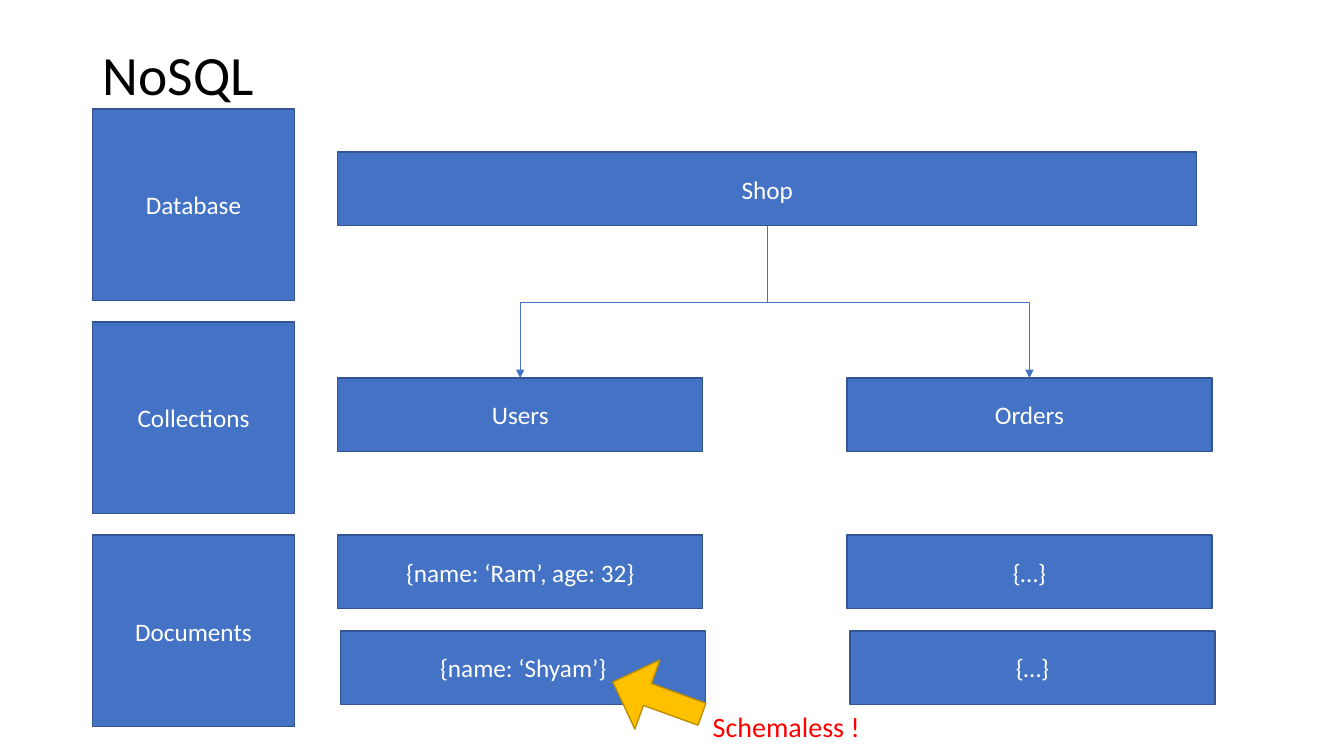
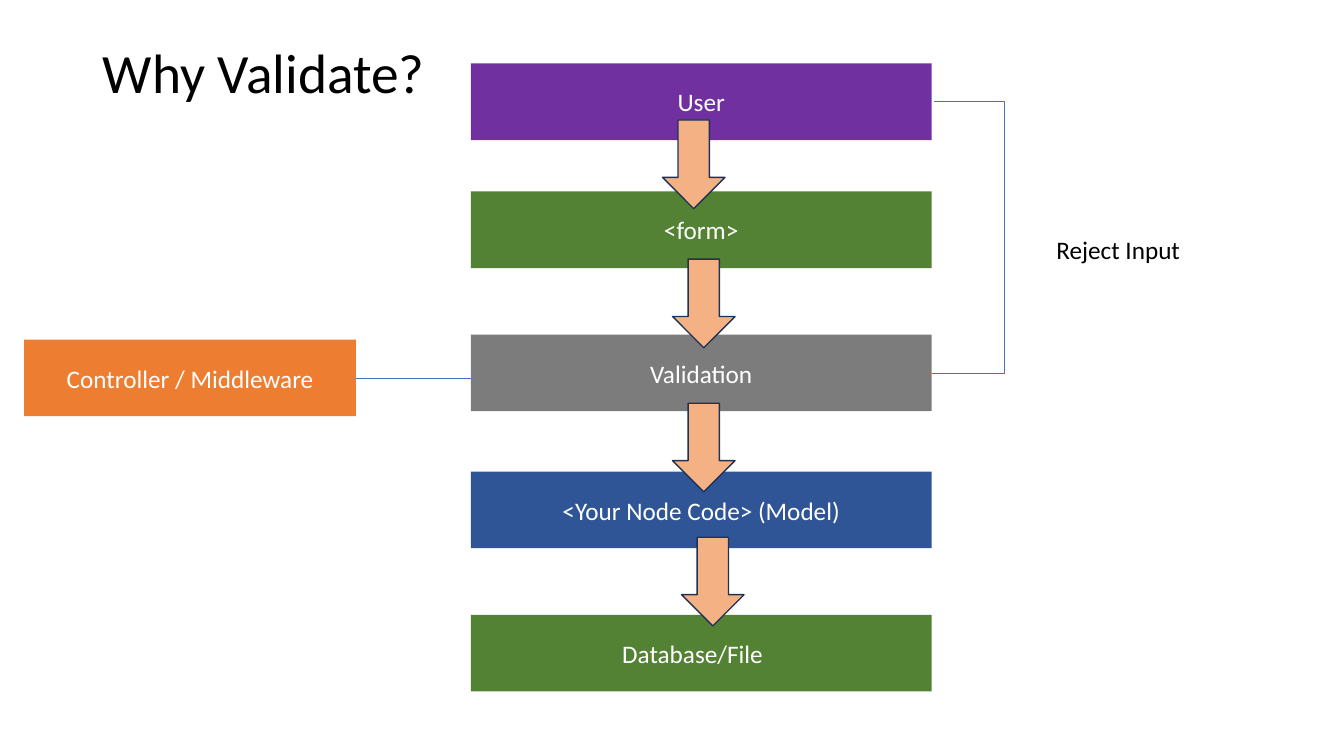
from dataclasses import dataclass
from typing import NamedTuple

from lxml.etree import SubElement
from pptx import Presentation
from pptx.dml.color import RGBColor
from pptx.enum.shapes import MSO_CONNECTOR as Link, MSO_SHAPE as Shape
from pptx.enum.text import MSO_ANCHOR as Anchor, MSO_AUTO_SIZE as AutoSize, PP_ALIGN as Align
from pptx.oxml.ns import qn
from pptx.util import Inches, Pt


@dataclass(frozen=True)
class Theme:
    font: str = "Calibri"
    title_size: float = 39.6
    body_size: float = 18
    callout_size: float = 20
    outline: float = 1
    link_width: float = 0.5
    black: str = "000000"
    white: str = "FFFFFF"
    red: str = "FF0000"
    blue: str = "4472C4"
    blue_edge: str = "325491"
    navy: str = "2F5597"
    purple: str = "7030A0"
    green: str = "548235"
    gray: str = "7C7C7C"
    orange: str = "ED7D31"
    peach: str = "F4B183"
    peach_edge: str = "1E3256"
    gold: str = "FFC000"
    gold_edge: str = "BD8E00"


THEME = Theme()
TITLE_LEFT, TITLE_TOP, TITLE_WIDTH = 0.92, 0.4, 11.5


class Box(NamedTuple):
    x: float
    y: float
    w: float
    h: float

    def inside(self, dx, dy, w, h):
        """Box of size w by h, offset from this box's corner."""
        return Box(self.x + dx, self.y + dy, w, h)

    def emu(self):
        return [Inches(value) for value in self]


def apply(target, values):
    for name, value in values.items():
        setattr(target, name, value)


def write(frame, text, color, size=THEME.body_size, align=Align.LEFT, **frame_format):
    apply(frame, frame_format)
    paragraph = frame.paragraphs[0]
    paragraph.alignment = align
    run = paragraph.add_run()
    run.text = text
    apply(run.font, {"name": THEME.font, "size": Pt(size)})
    run.font.color.rgb = RGBColor.from_string(color)
    return paragraph


def add_title(slide, text, height):
    title = slide.shapes.title
    places = Box(TITLE_LEFT, TITLE_TOP, TITLE_WIDTH, height).emu()
    apply(title, dict(zip(("left", "top", "width", "height"), places)))
    paragraph = write(title.text_frame, text, THEME.black, THEME.title_size,
                      auto_size=AutoSize.NONE, vertical_anchor=Anchor.MIDDLE)
    paragraph.line_spacing = 0.9


def add_figure(slide, kind, box, fill, edge=None):
    figure = slide.shapes.add_shape(kind, *box.emu())
    figure.shadow.inherit = False
    figure.fill.solid()
    figure.fill.fore_color.rgb = RGBColor.from_string(fill)
    if edge:
        figure.line.color.rgb = RGBColor.from_string(edge)
        figure.line.width = Pt(THEME.outline)
    else:
        figure.line.fill.background()
    return figure


def add_block(slide, box, text, fill=THEME.blue, edge=None, **frame_format):
    block = add_figure(slide, Shape.RECTANGLE, box, fill, edge)
    write(block.text_frame, text, THEME.white, align=Align.CENTER,
          word_wrap=True, vertical_anchor=Anchor.MIDDLE, **frame_format)
    return block


def add_label(slide, box, text, color, size=THEME.body_size):
    label = slide.shapes.add_textbox(*box.emu())
    write(label.text_frame, text, color, size,
          word_wrap=False, auto_size=AutoSize.SHAPE_TO_FIT_TEXT)


def add_link(slide, kind, start, end, arrow=False):
    link = slide.shapes.add_connector(kind, *map(Inches, start + end))
    link.line.color.rgb = RGBColor.from_string(THEME.blue)
    link.line.width = Pt(THEME.link_width)
    if arrow:
        SubElement(link.line._get_or_add_ln(), qn("a:tailEnd"), type="triangle")
    SubElement(link.element.spPr, qn("a:effectLst"))
    return link


def add_branch(slide, parent, child):
    """Elbow arrow that leaves the parent downwards and enters the child's top."""
    link = add_link(slide, Link.ELBOW, (0, 0), (1, 1), arrow=True)
    link.begin_connect(parent, 0 + 2)
    link.end_connect(child, 0)
    start_x, start_y = parent.left + parent.width // 2, parent.top + parent.height
    end_x, end_y = child.left + child.width // 2, child.top
    drop, spread = end_y - start_y, abs(end_x - start_x)
    apply(link, {"left": (start_x + end_x - drop) // 2,
                 "top": (start_y + end_y - spread) // 2,
                 "width": drop, "height": spread})
    rightward = end_x > start_x
    frame = link.element.spPr.find(qn("a:xfrm"))
    frame.set("rot", str((270 if rightward else 90) * 60000))
    frame.set("flipH", "1" if rightward else "0")


def add_levels(slide, area, names):
    pitch = 2.115
    for row, name in enumerate(names):
        add_block(slide, area.inside(0, row * pitch, area.w, 1.9), name,
                  edge=THEME.blue_edge)


def add_database_tree(slide, area, database, collections):
    """Database over its collections, each over its documents."""
    height, width, column_pitch = 0.73, 3.62, 5.05
    documents_top, document_pitch, document_shift = 3.8, 0.95, 0.03
    edge = THEME.blue_edge
    root = add_block(slide, area.inside(0, 0, area.w, height), database, edge=edge)
    for column, (collection, documents) in enumerate(collections.items()):
        left = column * column_pitch
        head = add_block(slide, area.inside(left, 2.24, width, height),
                         collection, edge=edge)
        add_branch(slide, root, head)
        for row, document in enumerate(documents):
            place = area.inside(left + row * document_shift,
                                documents_top + row * document_pitch, width, height)
            add_block(slide, place, document, edge=edge)


def add_callout(slide, area, text):
    add_label(slide, area.inside(0.92, 0.43, 1.7, 0.44), text, THEME.red,
              THEME.callout_size)
    pointer = add_figure(slide, Shape.RIGHT_ARROW, area.inside(0, 0, 0.94, 0.73),
                         THEME.gold, THEME.gold_edge)
    pointer.adjustments[0] = 0.317
    pointer.rotation = 199.9


def add_pipeline(slide, area, stages):
    """Stack of (top, text, fill, extra right inset); returns the blocks."""
    return [add_block(slide, area.inside(0, top, area.w, 0.76), text, fill,
                      margin_right=Inches(0.1 + inset))
            for top, text, fill, inset in stages]


def add_flow_arrows(slide, area, offsets):
    for dx, dy in offsets:
        add_figure(slide, Shape.DOWN_ARROW, area.inside(dx, dy, 0.62, 0.88),
                   THEME.peach, THEME.peach_edge)


def add_handler(slide, area, text, target_x):
    handler = add_block(slide, area, text, THEME.orange)
    middle = area.y + area.h / 2
    link = add_link(slide, Link.STRAIGHT, (area.x + area.w, middle), (target_x, middle))
    link.begin_connect(handler, 3)


def add_rejection(slide, area, validation, text):
    """Bracket around the area's right side, from validation back to the user."""
    gap = 0.02
    link = add_link(slide, Link.ELBOW, (area.x, area.y + area.h), (area.x + gap, area.y))
    link.begin_connect(validation, 3)
    guides = link.element.spPr.find(qn("a:prstGeom")).find(qn("a:avLst"))
    SubElement(guides, qn("a:gd"), name="adj1", fmla=f"val {round(area.w / gap * 100000)}")
    add_label(slide, area.inside(1.14, 1.27, 1.44, 0.4), text, THEME.black)


def build_nosql(slide):
    add_title(slide, "NoSQL", 0.73)
    add_levels(slide, Box(TITLE_LEFT, 1.08, 2, 6.13),
               ("Database", "Collections", "Documents"))
    add_database_tree(slide, Box(3.35, 1.51, 8.52, 5.48), "Shop", {
        "Users": ("{name: ‘Ram’, age: 32}", "{name: ‘Shyam’}"),
        "Orders": ("{…}", "{…}"),
    })
    add_callout(slide, Box(6.05, 6.56, 2.62, 0.87), "Schemaless !")


def build_validation(slide):
    add_title(slide, "Why Validate?", 0.69)
    flow = Box(4.67, 0.63, 4.57, 6.23)
    blocks = add_pipeline(slide, flow, (
        (0, "User", THEME.purple, 0),
        (1.27, "<form>", THEME.green, 0),
        (2.69, "Validation", THEME.gray, 0),
        (4.05, "<Your Node Code> (Model)", THEME.navy, 0),
        (5.47, "Database/File", THEME.green, 0.17),
    ))
    add_flow_arrows(slide, flow, ((1.9, 0.56), (2, 1.94), (2, 3.37), (2.09, 4.7)))
    add_handler(slide, Box(0.24, 3.37, 3.29, 0.76), "Controller / Middleware", flow.x)
    add_rejection(slide, Box(flow.x + flow.w, 1.01, 0.72, 2.69), blocks[2],
                  "Reject Input")


def main():
    deck = Presentation()
    apply(deck, {"slide_width": Inches(13.33), "slide_height": Inches(7.5)})
    title_only = deck.slide_layouts[5]
    for build in (build_nosql, build_validation):
        build(deck.slides.add_slide(title_only))
    deck.save("out.pptx")


if __name__ == "__main__":
    main()
